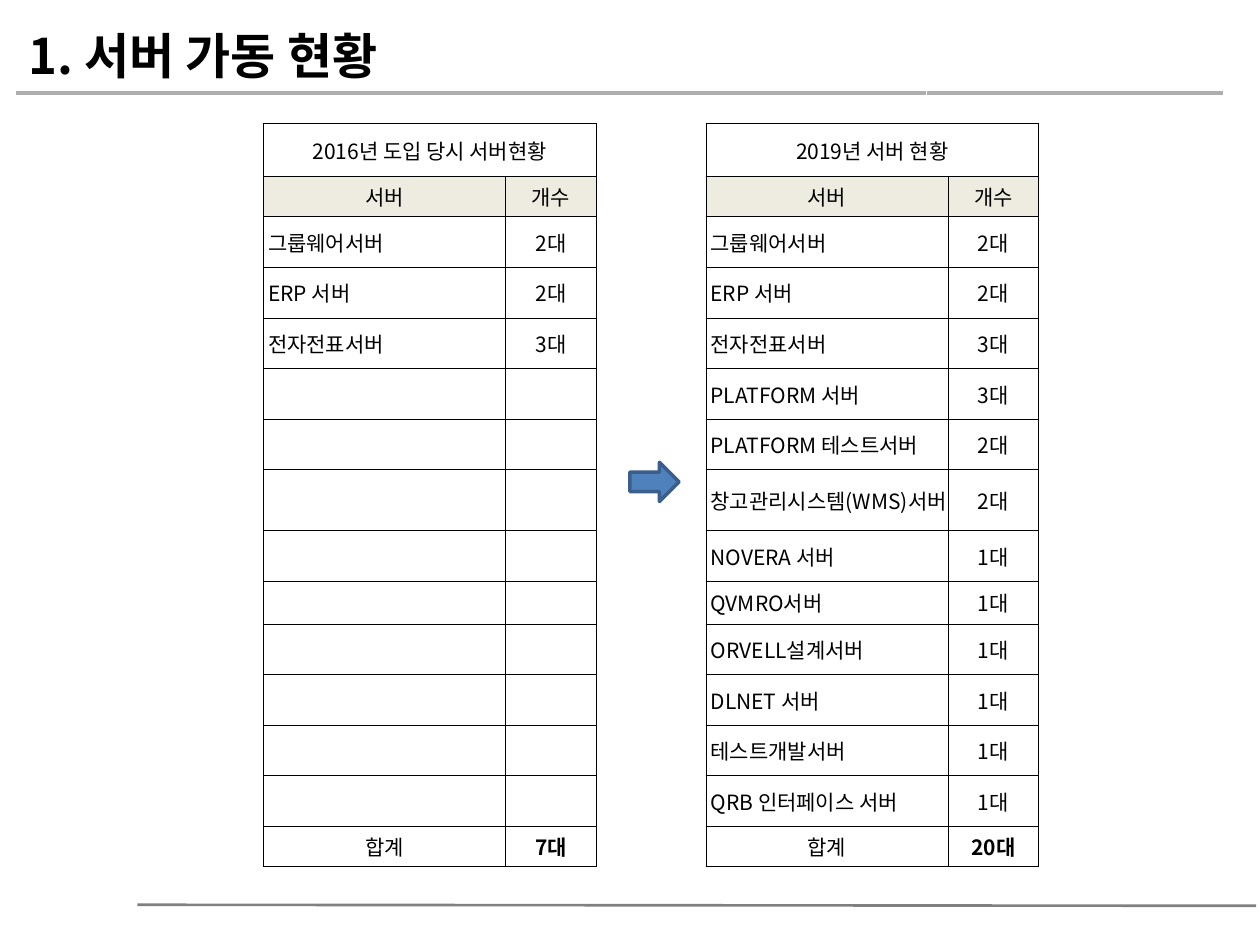
from lxml import etree
from pptx import Presentation
from pptx.dml.color import RGBColor
from pptx.enum import shapes, text
from pptx.oxml.ns import qn
from pptx.util import Cm, Pt

FONT = "Noto Sans CJK KR"
COLORS = {
    "text": "000000", "border": "000000", "head": "EEECE1", "body": "FFFFFF",
    "title_rule": "AEAEAE", "foot_rule": "808080",
    "arrow": "4F81BD", "arrow_line": "3A5F8C",
}
NO_STYLE = "{2D5ABB26-0587-4C30-8999-92F81FD0307C}"
SERVERS = [
    ("그룹웨어서버", 2, 2), ("ERP 서버", 2, 2), ("전자전표서버", 3, 3),
    ("PLATFORM 서버", 0, 3), ("PLATFORM 테스트서버", 0, 2),
    ("창고관리시스템(WMS)서버", 0, 2), ("NOVERA 서버", 0, 1),
    ("QVMRO서버", 0, 1), ("ORVELL설계서버", 0, 1), ("DLNET 서버", 0, 1),
    ("테스트개발서버", 0, 1), ("QRB 인터페이스 서버", 0, 1),
]
COL_WIDTHS = [4.88, 1.83, 2.21, 4.88, 1.83]
ROW_HEIGHTS = [1.07, 0.81] + [1.02] * 7 + [0.86] + [1.02] * 4 + [0.81]
SPACER = 2


def rgb(name):
    return RGBColor.from_string(COLORS[name])


def write(tf, words, size=12, bold=False, align=text.PP_ALIGN.CENTER):
    p = tf.paragraphs[0]
    p.alignment = align
    p.font.size = Pt(size)
    if words:
        r = p.add_run()
        r.text = words
        r.font.size = Pt(size)
        r.font.bold = bold
        r.font.color.rgb = rgb("text")
        r.font.name = FONT
        etree.SubElement(r.font._element, qn("a:ea"), typeface=FONT)
    return p


def add_title(s, words):
    sp = s.shapes.title
    sp.left, sp.top, sp.width, sp.height = Cm(0.33), Cm(0.71), Cm(24.71), Cm(0.81)
    tf = sp.text_frame
    tf.auto_size = text.MSO_AUTO_SIZE.NONE
    tf.vertical_anchor = text.MSO_ANCHOR.MIDDLE
    p = write(tf, words, size=28, bold=True, align=text.PP_ALIGN.LEFT)
    pPr = p._p.get_or_add_pPr()
    pPr.set("marL", str(Cm(1.42)))
    pPr.set("indent", str(-Cm(1.42)))


def add_rule(s, x1, y1, x2, y2, color, width):
    line = s.shapes.add_connector(
        shapes.MSO_CONNECTOR.STRAIGHT, Cm(x1), Cm(y1), Cm(x2), Cm(y2))
    line.line.color.rgb = rgb(color)
    line.line.width = Pt(width)
    etree.SubElement(line._element.spPr, qn("a:effectLst"))


def add_arrow(s, x, y, w, h):
    sp = s.shapes.add_shape(
        shapes.MSO_SHAPE.RIGHT_ARROW, Cm(x), Cm(y), Cm(w), Cm(h))
    sp.shadow.inherit = False
    sp.fill.solid()
    sp.fill.fore_color.rgb = rgb("arrow")
    sp.line.color.rgb = rgb("arrow_line")
    sp.line.width = Pt(2)


def set_borders(cell, sides):
    tcPr = cell._tc.get_or_add_tcPr()
    for side in sides:
        ln = etree.SubElement(tcPr, qn(f"a:ln{side}"), w=str(Pt(0.5)))
        fill = etree.SubElement(ln, qn("a:solidFill"))
        etree.SubElement(fill, qn("a:srgbClr"), val=COLORS["border"])


def format_cell(cell, row, col):
    cell.margin_left = cell.margin_right = cell.margin_top = cell.margin_bottom = 0
    cell.vertical_anchor = text.MSO_ANCHOR.MIDDLE
    set_borders(cell, "LR" if col == SPACER else "LRTB")
    if col == SPACER or row == 0:
        cell.fill.background()
    else:
        cell.fill.solid()
        cell.fill.fore_color.rgb = rgb("head" if row == 1 else "body")


def half_rows(heading, counts):
    rows = [(heading, ""), ("서버", "개수")]
    for (name, *_), n in zip(SERVERS, counts):
        rows.append((f" {name}", f"{n}대") if n else ("", ""))
    return rows + [("합계", f"{sum(counts)}대")]


def add_server_table(s):
    table = s.shapes.add_table(
        len(ROW_HEIGHTS), len(COL_WIDTHS), Cm(5.31), Cm(2.49),
        Cm(sum(COL_WIDTHS)), Cm(sum(ROW_HEIGHTS))).table
    table.first_row = table.horz_banding = False
    table._tbl.tblPr.find(qn("a:tableStyleId")).text = NO_STYLE
    for column, width in zip(table.columns, COL_WIDTHS):
        column.width = Cm(width)
    for row, height in zip(table.rows, ROW_HEIGHTS):
        row.height = Cm(height)
    before = half_rows("2016년 도입 당시 서버현황", [b for _, b, _ in SERVERS])
    after = half_rows("2019년 서버 현황", [a for _, _, a in SERVERS])
    last = len(ROW_HEIGHTS) - 1
    for i, (left, right) in enumerate(zip(before, after)):
        for j, words in enumerate((*left, "", *right)):
            cell = table.cell(i, j)
            format_cell(cell, i, j)
            is_name = j in (0, 3) and 1 < i < last
            write(cell.text_frame, words,
                  bold=i == last and j in (1, 4),
                  align=text.PP_ALIGN.LEFT if is_name else text.PP_ALIGN.CENTER)
    for j in (0, 3):
        table.cell(0, j).merge(table.cell(0, j + 1))


def main():
    prs = Presentation()
    prs.slide_width, prs.slide_height = Cm(25.4), Cm(19.05)
    s = prs.slides.add_slide(prs.slide_layouts[5])
    add_rule(s, 2.77, 18.24, 25.32, 18.26, "foot_rule", 1.5)
    add_title(s, "1. 서버 가동 현황")
    add_rule(s, 0.33, 1.88, 18.67, 1.88, "title_rule", 2)
    add_rule(s, 18.69, 1.88, 24.66, 1.88, "title_rule", 2)
    add_server_table(s)
    add_arrow(s, 12.7, 9.32, 0.99, 0.79)
    prs.save("out.pptx")


main()
